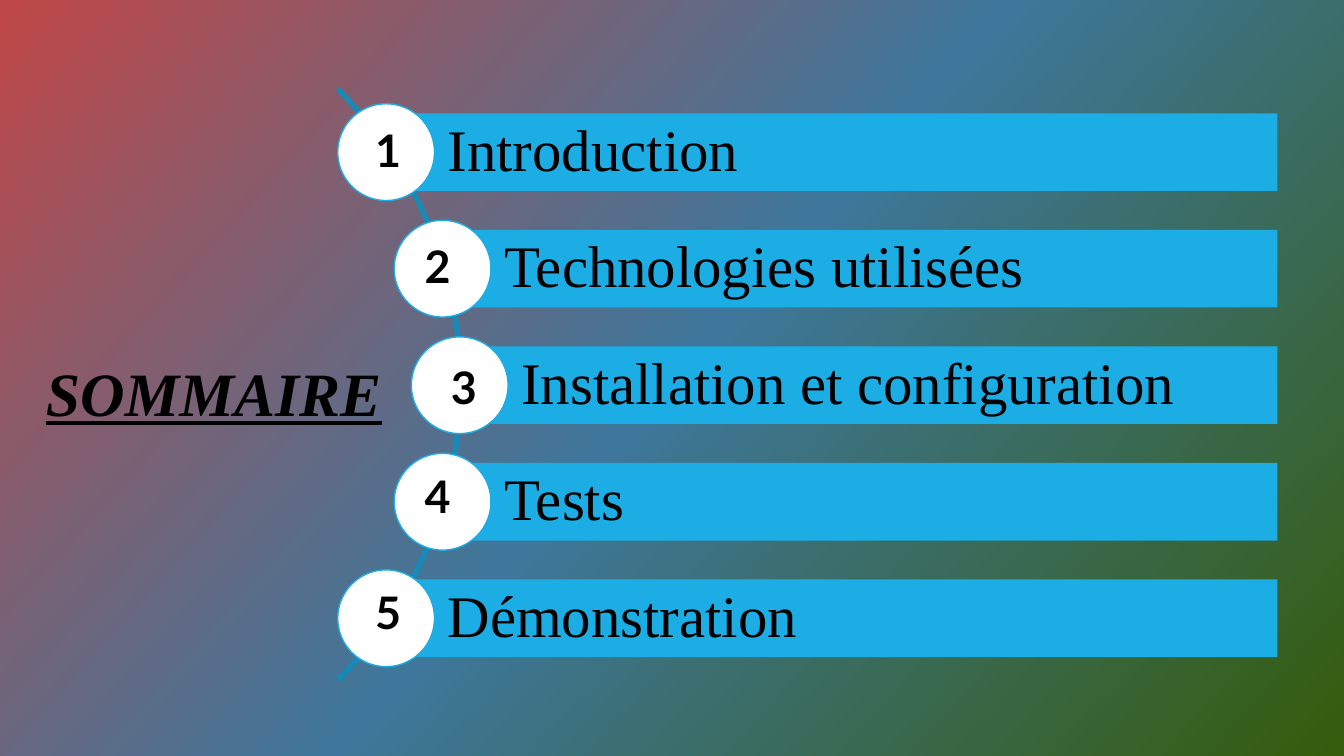
from pptx import Presentation
from pptx.dml.color import RGBColor
from pptx.enum.shapes import MSO_SHAPE as Preset
from pptx.enum.text import MSO_ANCHOR as Anchor, PP_ALIGN as Align
from pptx.oxml import parse_xml
from pptx.oxml.ns import nsdecls
from pptx.util import Inches, Pt

TITLE = "SOMMAIRE"
# (heading, bar left, number left, number top)
CHAPTERS = [
    ("Introduction", 3.83, 3.54, 1.17),
    ("Technologies utilisées", 4.39, 4.03, 2.32),
    ("Installation et configuration", 4.56, 4.29, 3.52),
    ("Tests", 4.39, 4.03, 4.6),
    ("Démonstration", 3.83, 3.54, 5.75),
]
GRADIENT = [(0, "C04747"), (50, "3E779B"), (100, "355C0B")]
GRADIENT_ANGLE = 42
BLACK, WHITE, BAR_BLUE, ARC_BLUE = "000000", "FFFFFF", "1CADE4", "168BB7"
SERIF, SANS = "Times New Roman", "Lato"
FIRST_CENTER, PITCH = 1.51, 1.156
BAR_RIGHT, BAR_HEIGHT, CIRCLE = 12.67, 0.77, 0.96


def color(value):
    return RGBColor.from_string(value)


def set_background(slide):
    stops = "".join(
        f'<a:gs pos="{position * 1000}"><a:srgbClr val="{value}"/></a:gs>'
        for position, value in GRADIENT
    )
    slide.element.cSld.insert(0, parse_xml(
        f'<p:bg {nsdecls("p", "a")}><p:bgPr><a:gradFill><a:gsLst>{stops}</a:gsLst>'
        f'<a:lin ang="{GRADIENT_ANGLE * 60000}" scaled="0"/></a:gradFill>'
        '<a:effectLst/></p:bgPr></p:bg>'
    ))


def add_shape(slide, preset, box, fill=None, line=None, width=1):
    shape = slide.shapes.add_shape(preset, *map(Inches, box))
    shape.shadow.inherit = False
    if fill:
        shape.fill.solid()
        shape.fill.fore_color.rgb = color(fill)
    else:
        shape.fill.background()
    if line:
        shape.line.color.rgb = color(line)
        shape.line.width = Pt(width)
    else:
        shape.line.fill.background()
    return shape


def write(shape, text, size, font, align=Align.CENTER, bold=None):
    shape.text_frame.word_wrap = True
    paragraph = shape.text_frame.paragraphs[0]
    paragraph.alignment = align
    run = paragraph.add_run()
    run.text = text
    run.font.size = Pt(size)
    run.font.name = font
    run.font.bold = bold
    run.font.color.rgb = color(BLACK)
    return run


def add_label(slide, box, text, size, font):
    label = slide.shapes.add_textbox(*map(Inches, box))
    return write(label, text, size, font, bold=True)


def add_bar(slide, heading, left, center):
    box = (left, center - BAR_HEIGHT / 2, BAR_RIGHT - left, BAR_HEIGHT)
    bar = add_shape(slide, Preset.RECTANGLE, box, BAR_BLUE)
    frame = bar.text_frame
    frame.vertical_anchor = Anchor.MIDDLE
    frame.margin_left = Inches(0.61)
    frame.margin_top = frame.margin_right = frame.margin_bottom = Inches(0.12)
    write(bar, heading, 42, SERIF, Align.LEFT)
    frame.paragraphs[0].line_spacing = 0.9


def main():
    """Build the table of contents slide."""
    presentation = Presentation()
    presentation.slide_width = Inches(13.33)
    presentation.slide_height = Inches(7.5)
    slide = presentation.slides.add_slide(presentation.slide_layouts[6])
    set_background(slide)

    arc = add_shape(slide, Preset.BLOCK_ARC, (-3.71, -0.33, 8.29, 8.29), line=ARC_BLUE, width=2)
    for index, value in enumerate((189, 27, 0.003)):
        arc.adjustments[index] = value

    for index, (heading, left, _, _) in enumerate(CHAPTERS):
        center = FIRST_CENTER + index * PITCH
        add_bar(slide, heading, left, center)
        circle_box = (left - CIRCLE / 2, center - CIRCLE / 2, CIRCLE, CIRCLE)
        add_shape(slide, Preset.OVAL, circle_box, WHITE, BAR_BLUE)

    title = add_label(slide, (0.21, 3.47, 3.82, 0.84), TITLE, 44, SERIF)
    title.font.italic = title.font.underline = True
    for number, (_, _, left, top) in enumerate(CHAPTERS, start=1):
        add_label(slide, (left, top, 0.62, 0.64), str(number), 32, SANS)

    presentation.save("out.pptx")


if __name__ == "__main__":
    main()
